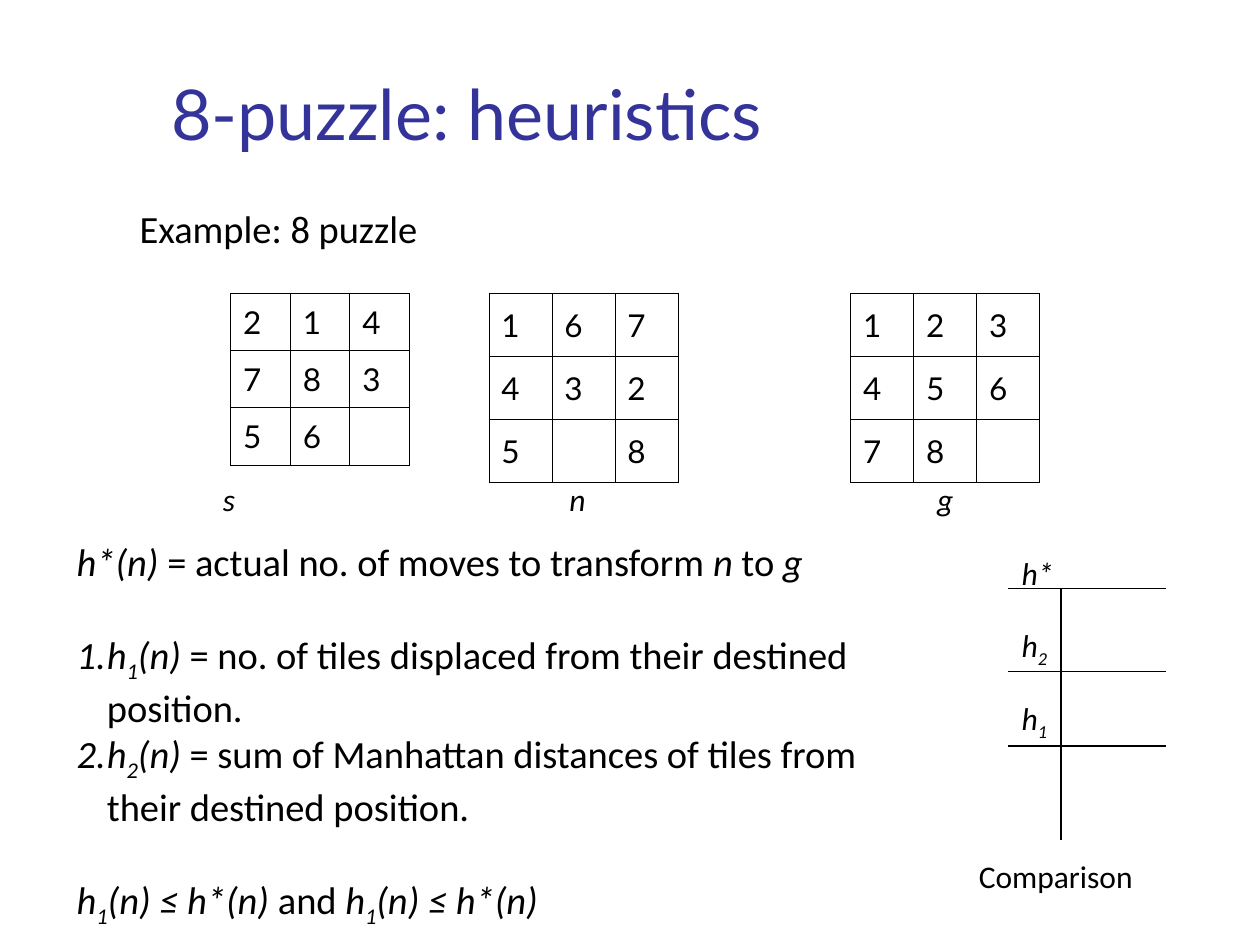
"""Build the slide on 8-puzzle heuristics."""
from lxml.etree import SubElement
from pptx import Presentation
from pptx.dml.color import RGBColor
from pptx.enum.shapes import MSO_CONNECTOR
from pptx.enum.text import MSO_ANCHOR
from pptx.oxml.ns import qn
from pptx.util import Inches, Pt

BLACK = RGBColor(0x00, 0x00, 0x00)
WHITE = RGBColor(0xFF, 0xFF, 0xFF)
INDIGO = RGBColor(0x33, 0x33, 0x99)
PLAIN, ITALIC, SUBSCRIPT = "plain", "italic", "subscript"


def style_paragraph(paragraph, size, name="Calibri", color=BLACK):
    paragraph.font.size = Pt(size)
    paragraph.font.name = name
    paragraph.font.color.rgb = color


def add_label(left, top, width, height, pieces, size=18):
    shape = slide.shapes.add_textbox(Inches(left), Inches(top), Inches(width), Inches(height))
    shape.text_frame.word_wrap = False
    paragraph = shape.text_frame.paragraphs[0]
    style_paragraph(paragraph, size)
    add_pieces(paragraph, pieces)


def add_pieces(paragraph, pieces):
    for text, style in pieces:
        run = paragraph.add_run()
        run.text = text
        run.font.italic = style != PLAIN
        if style == SUBSCRIPT:
            run.font._element.set("baseline", "-25000")


presentation = Presentation()
presentation.slide_width = Inches(10)
presentation.slide_height = Inches(7.5)
slide = presentation.slides.add_slide(presentation.slide_layouts[6])

title = slide.shapes.add_textbox(Inches(1.26), Inches(0.23), Inches(8.52), Inches(1.32))
title.text_frame.word_wrap = True
title.text_frame.vertical_anchor = MSO_ANCHOR.MIDDLE
title.text_frame.text = "8-puzzle: heuristics"
style_paragraph(title.text_frame.paragraphs[0], 40, "Lato", INDIGO)

boards = [
    (1.83, 1.42, 1.36, ["214", "783", "56 "]),
    (3.88, 1.5, 1.5, ["167", "432", "5 8"]),
    (6.75, 1.5, 1.5, ["123", "456", "78 "]),
]
for left, width, height, rows in boards:
    frame = slide.shapes.add_table(3, 3, Inches(left), Inches(2.33), Inches(width), Inches(height))
    table = frame.table
    table.first_row = False
    table.horz_banding = False
    for row_index, row in enumerate(rows):
        for column_index, tile in enumerate(row):
            cell = table.cell(row_index, column_index)
            cell.text = tile.strip()
            cell.vertical_anchor = MSO_ANCHOR.MIDDLE
            style_paragraph(cell.text_frame.paragraphs[0], 18, "Lato")
            properties = cell._tc.get_or_add_tcPr()
            for side in ("a:lnL", "a:lnR", "a:lnT", "a:lnB"):
                border = SubElement(properties, qn(side), w=str(Pt(0.45)))
                fill = SubElement(border, qn("a:solidFill"))
                SubElement(fill, qn("a:srgbClr"), val=str(BLACK))
            cell.fill.solid()
            cell.fill.fore_color.rgb = WHITE

for name, left, width in [("s", 1.67, 0.29), ("n", 4.42, 0.33), ("g", 7.34, 0.33)]:
    add_label(left, 3.76, width, 0.4, [(name, ITALIC)])
add_label(1.01, 1.58, 2.41, 0.47, [("Example: 8 puzzle", PLAIN)], 22)

definitions = [
    (False, 0, [("h*(n)", ITALIC), (" = actual no. of moves to transform ", PLAIN),
                ("n", ITALIC), (" to ", PLAIN), ("g", ITALIC)]),
    (True, 27, [("h", ITALIC), ("1", SUBSCRIPT), ("(n)", ITALIC),
                (" = no. of tiles displaced from their destined position.", PLAIN)]),
    (True, 0, [("h", ITALIC), ("2", SUBSCRIPT), ("(n)", ITALIC),
               (" = sum of Manhattan distances of tiles from their destined position.", PLAIN)]),
    (False, 27, [("h", ITALIC), ("1", SUBSCRIPT), ("(n) ≤ h*(n) ", ITALIC), ("and", PLAIN),
                 (" h", ITALIC), ("1", SUBSCRIPT), ("(n) ≤ h*(n)", ITALIC)]),
]
body = slide.shapes.add_textbox(Inches(0.51), Inches(4.22), Inches(6.65), Inches(3.19))
body.text_frame.word_wrap = True
for index, (numbered, space, pieces) in enumerate(definitions):
    paragraph = body.text_frame.add_paragraph() if index else body.text_frame.paragraphs[0]
    if space:
        paragraph.space_before = Pt(space)
    if numbered:
        properties = paragraph._p.get_or_add_pPr()
        properties.set("marL", str(Inches(0.24)))
        properties.set("indent", str(-Inches(0.24)))
        SubElement(properties, qn("a:buAutoNum"), type="arabicPeriod")
    style_paragraph(paragraph, 22)
    add_pieces(paragraph, pieces)

scale_lines = [(8.42, 4.67, 8.42, 6.67)] + [(8, y, 9.25, y) for y in (4.67, 5.33, 5.92)]
for start_x, start_y, end_x, end_y in scale_lines:
    line = slide.shapes.add_connector(
        MSO_CONNECTOR.STRAIGHT, Inches(start_x), Inches(start_y), Inches(end_x), Inches(end_y))
    line.line.color.rgb = BLACK
    line.line.width = Pt(0.75)
    SubElement(line._element.spPr, qn("a:effectLst"))

add_label(8.01, 4.35, 0.45, 0.4, [("h*", ITALIC)])
for number, top in [("2", 4.92), ("1", 5.5)]:
    add_label(8.01, top, 0.4, 0.44, [("h", ITALIC), (number, SUBSCRIPT)])
add_label(7.67, 6.75, 1.42, 0.4, [("Comparison", PLAIN)])

presentation.save("out.pptx")
